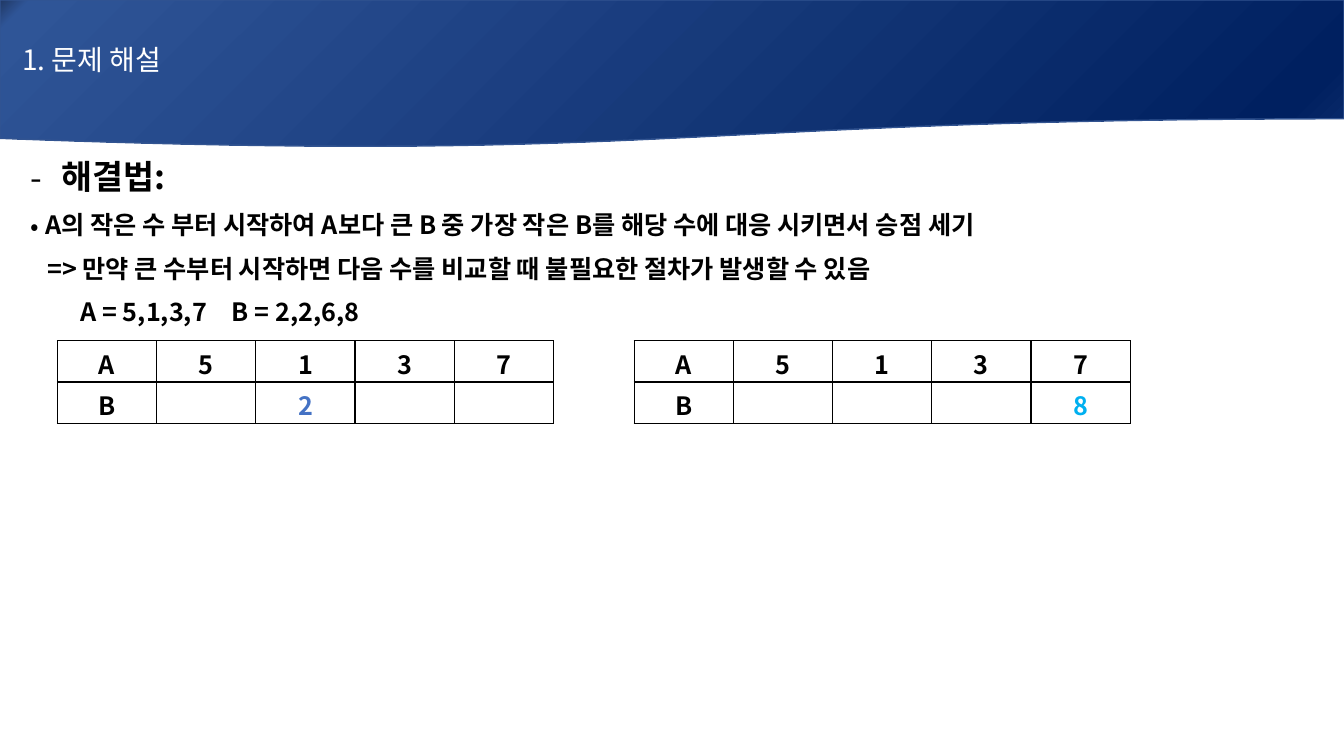
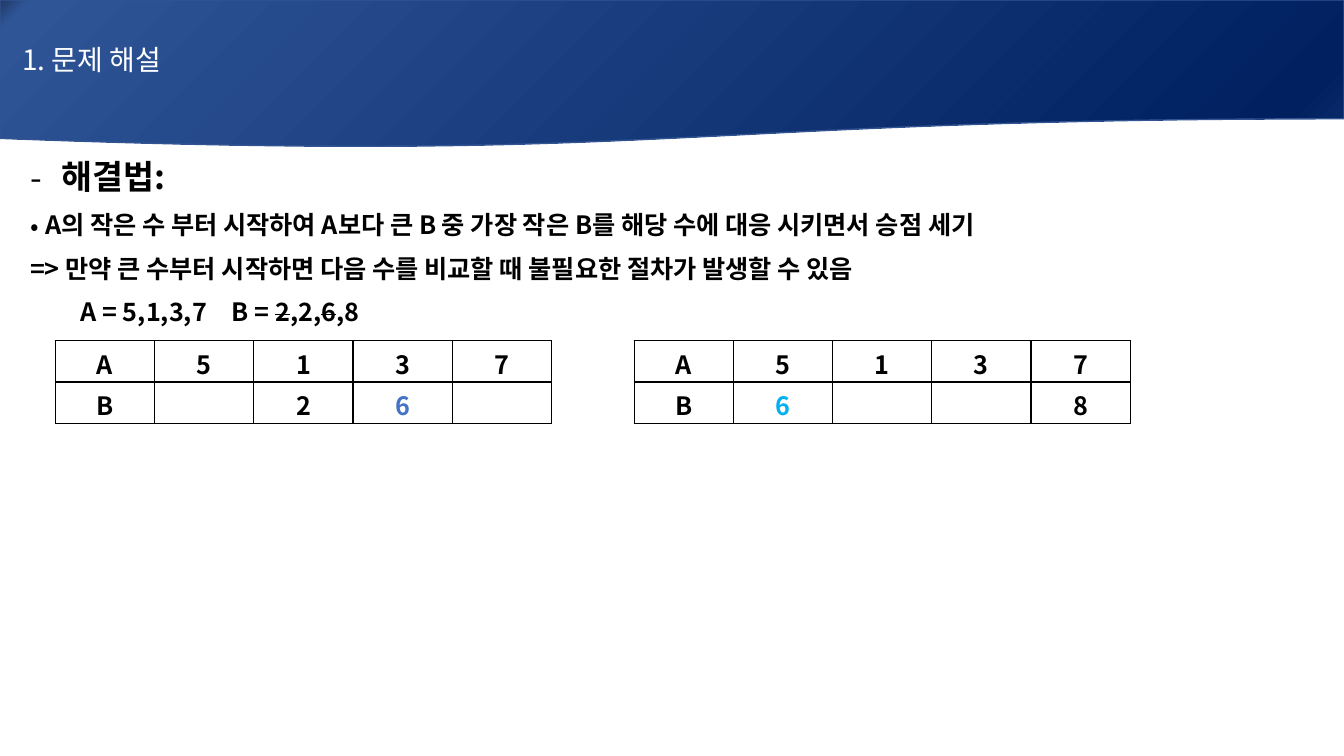
import pptx
import pptx.util
import pptx.dml.color
import pptx.enum.shapes
import pptx.enum.text
import pptx.oxml
import pptx.oxml.ns
import lxml.etree

Inches = pptx.util.Inches
Pt = pptx.util.Pt
qn = pptx.oxml.ns.qn
ALIGN = pptx.enum.text.PP_ALIGN
MIDDLE = pptx.enum.text.MSO_ANCHOR.MIDDLE

FONT = "Noto Sans CJK KR"
HUES = {
    "ink": "000000",
    "paper": "FFFFFF",
    "edge": "325491",
    "blue": "4472C4",
    "sky": "00B0F0",
}
STOPS = [(0, "203864"), (2, "2F5597"), (94, "002060"), (100, "0D2E6F")]
BAND = (0, 0, 13.33, 1.47)
BODY = (0.2, 1.47, 11.95, 1.9)
TOP, WIDE, ROW = 3.38, 4.92, 0.41
HEAD = ["A", "5", "1", "3", "7"]
FORMAT = {"alignment": ALIGN.JUSTIFY, "line_spacing": 1.07, "space_after": Pt(8)}

SLIDES = [
    {
        "inset": 0.17,
        "sum": [("\tA = 5,1,3,7\tB = 2,2,6,8", False)],
        "tables": [
            (0.57, {2: ("2", "blue")}),
            (6.29, {4: ("8", "sky")}),
        ],
    },
    {
        "inset": 0,
        "sum": [
            ("\tA = 5,1,3,7\tB = ", False),
            ("2", True),
            (",2,", False),
            ("6", True),
            (",8", False),
        ],
        "tables": [
            (0.55, {2: ("2", "ink"), 3: ("6", "blue")}),
            (6.29, {1: ("6", "sky"), 4: ("8", "ink")}),
        ],
    },
]


def rgb(name):
    return pptx.dml.color.RGBColor.from_string(HUES[name])


def sub(node, tag, **attrs):
    return lxml.etree.SubElement(node, qn(tag), attrs)


def apply(item, values):
    for key, value in values.items():
        setattr(item, key, value)


def write(para, text, size=18, hue="ink", bold=True, strike=False):
    run = para.add_run()
    run.text = text
    apply(run.font, {"size": Pt(size), "bold": bold, "name": FONT})
    run.font.color.rgb = rgb(hue)
    props = run._r.get_or_add_rPr()
    sub(props, "a:ea", typeface=FONT)
    if strike:
        props.set("strike", "sngStrike")


def shade(shape):
    shape.fill.gradient()
    grad = shape.element.spPr.find(qn("a:gradFill"))
    for child in list(grad):
        grad.remove(child)
    stops = sub(grad, "a:gsLst")
    for place, color in STOPS:
        stop = sub(stops, "a:gs", pos=str(place * 1000))
        sub(stop, "a:srgbClr", val=color)
    sub(grad, "a:lin", ang=str(45 * 60000), scaled="1")


def add_band(slide, box):
    left, top, width, height = map(Inches, box)
    kind = pptx.enum.shapes.MSO_SHAPE.FLOWCHART_DOCUMENT
    band = slide.shapes.add_shape(kind, left, top, width, height)
    band.shadow.inherit = False
    shade(band)
    band.line.color.rgb = rgb("edge")
    band.line.width = Pt(1)

    title = slide.shapes.title
    title.element.addprevious(band.element)
    apply(title, {"left": left, "top": top, "width": width, "height": int(height * 0.8)})
    apply(title.text_frame, {
        "margin_left": Inches(0.22),
        "vertical_anchor": MIDDLE,
        "auto_size": pptx.enum.text.MSO_AUTO_SIZE.NONE,
    })
    para = title.text_frame.paragraphs[0]
    para.alignment = ALIGN.LEFT
    write(para, "1. 문제 해설", 20, "paper", False)


def add_body(slide, box, inset, total):
    frame = slide.shapes.add_textbox(*map(Inches, box)).text_frame
    frame.word_wrap = True
    lines = [
        ([("해결법:", False)], 24, 0.31, "-", []),
        ([("A의 작은 수 부터 시작하여 A보다 큰 B 중 가장 작은 B를 해당 수에 대응 시키면서 승점 세기", False)],
         18, 0.15, "•", []),
        ([("=> 만약 큰 수부터 시작하면 다음 수를 비교할 때 불필요한 절차가 발생할 수 있음", False)],
         18, inset, None, []),
        (total, 18, 0, None, [0.17, 1.71]),
    ]
    for index, (runs, size, indent, mark, tabs) in enumerate(lines):
        para = frame.add_paragraph() if index else frame.paragraphs[0]
        apply(para, FORMAT)
        props = para._p.get_or_add_pPr()
        props.set("marL", str(Inches(indent)))
        props.set("indent", str(-Inches(indent) if mark else 0))
        if mark:
            sub(props, "a:buFont", typeface=FONT)
            sub(props, "a:buChar", char=mark)
        if tabs:
            stops = sub(props, "a:tabLst")
            for place in tabs:
                sub(stops, "a:tab", pos=str(Inches(place)), algn="l")
        for text, strike in runs:
            write(para, text, size, strike=strike)


def add_cell(cell, text, hue):
    apply(cell, {
        "margin_top": Inches(0.04),
        "margin_bottom": 0,
        "vertical_anchor": MIDDLE,
    })
    props = cell._tc.get_or_add_tcPr()
    for side in "LRTB":
        line = sub(props, "a:ln" + side, w=str(Pt(1)))
        fill = sub(line, "a:solidFill")
        sub(fill, "a:srgbClr", val=HUES["ink"])
    cell.fill.solid()
    cell.fill.fore_color.rgb = rgb("paper")
    para = cell.text_frame.paragraphs[0]
    para.alignment = ALIGN.CENTER
    if text:
        write(para, text, hue=hue)


def add_grid(slide, box, picks):
    count = len(HEAD)
    table = slide.shapes.add_table(2, count, *map(Inches, box)).table
    apply(table, {"first_row": False, "horz_banding": False})
    for col in table.columns:
        col.width = Inches(box[2] / count)
    for row in table.rows:
        row.height = Inches(box[3] / 2)
    pairs = {0: ("B", "ink"), **picks}
    for index, name in enumerate(HEAD):
        add_cell(table.cell(0, index), name, "ink")
        add_cell(table.cell(1, index), *pairs.get(index, ("", "ink")))


def add_slide(deck, data):
    slide = deck.slides.add_slide(deck.slide_layouts[5])
    add_body(slide, BODY, data["inset"], data["sum"])
    add_band(slide, BAND)
    for left, picks in data["tables"]:
        add_grid(slide, (left, TOP, WIDE, 2 * ROW), picks)


def main():
    deck = pptx.Presentation()
    apply(deck, {"slide_width": Inches(13.33), "slide_height": Inches(7.5)})
    for data in SLIDES:
        add_slide(deck, data)
    deck.save("out.pptx")


if __name__ == "__main__":
    main()
